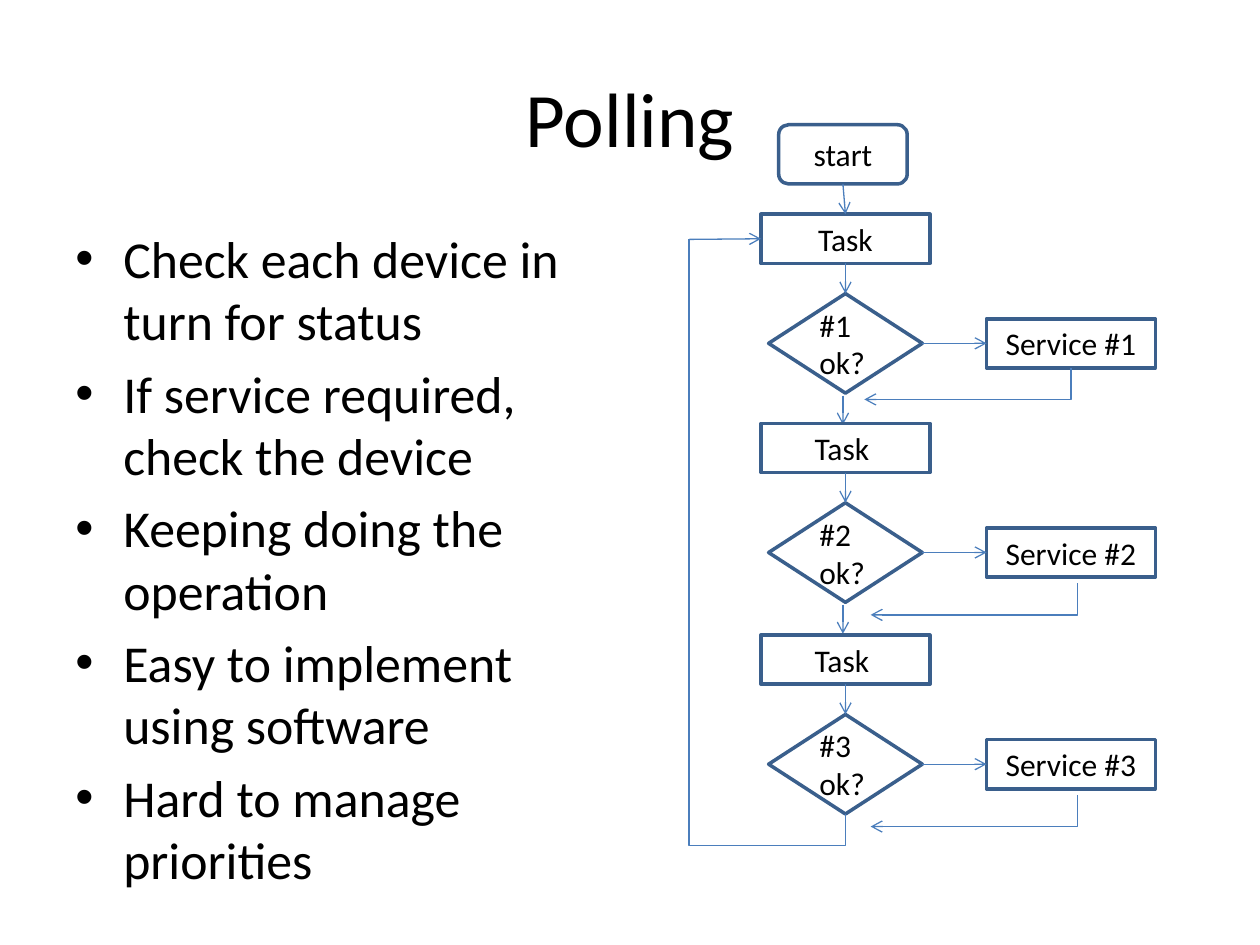
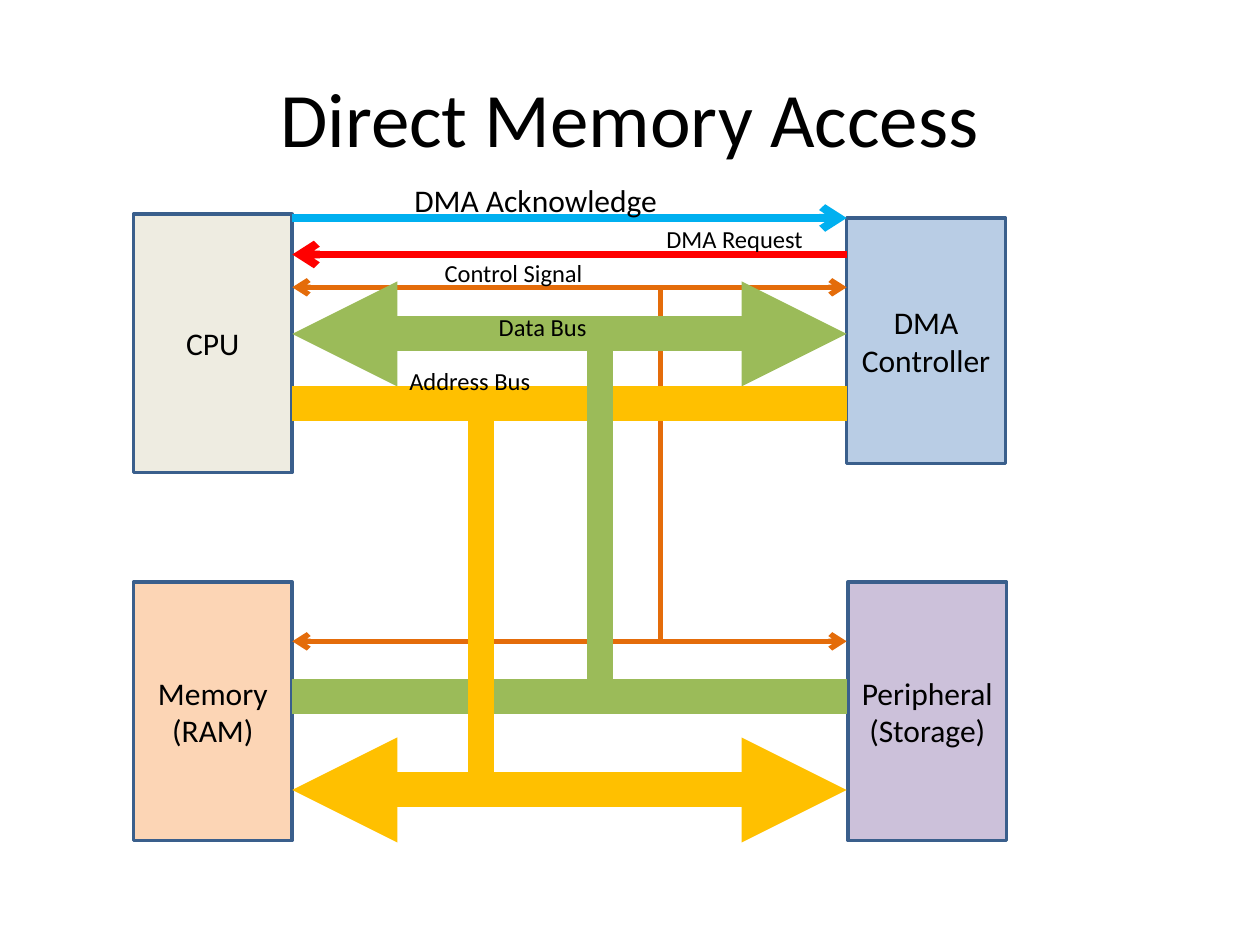
from pptx import Presentation, util as u
from pptx.dml.color import RGBColor
from pptx.enum import shapes, text
from pptx.oxml.ns import qn
from lxml import etree

COLS, ROWS = 10, 7.5
WIDE, HIGH = u.Inches(10), u.Inches(7.5)
FONT = "Calibri"
BLACK = RGBColor(0x00, 0x00, 0x00)
WHITE = RGBColor(0xFF, 0xFF, 0xFF)
EDGE = RGBColor(0x3A, 0x5F, 0x8C)
WIRE = RGBColor(0x4B, 0x7E, 0xBC)
CREAM = RGBColor(0xEE, 0xEC, 0xE1)
PEACH = RGBColor(0xFC, 0xD5, 0xB5)
LILAC = RGBColor(0xCC, 0xC1, 0xDA)
SKY = RGBColor(0xB9, 0xCD, 0xE5)
CYAN = RGBColor(0x00, 0xB0, 0xF0)
RED = RGBColor(0xFF, 0x00, 0x00)
RUST = RGBColor(0xE4, 0x6C, 0x0A)
GREEN = RGBColor(0x9B, 0xBB, 0x59)
GOLD = RGBColor(0xFF, 0xC0, 0x00)

KIND = shapes.MSO_SHAPE
LINK = shapes.MSO_CONNECTOR
LEFT, MID = text.PP_ALIGN.LEFT, text.PP_ALIGN.CENTER
TOP, CORE = text.MSO_ANCHOR.TOP, text.MSO_ANCHOR.MIDDLE


def apply(item, form):
    """Set each format value on an item."""
    for name, value in form.items():
        setattr(item, name, value)


def add(node, tag, **attrs):
    """Append a drawing element with its attributes."""
    return etree.SubElement(node, qn("a:" + tag), attrs)


def write(shape, lines, size, align=LEFT, anchor=TOP, gap=0, dot=False):
    """Write paragraphs in one style, with or without bullets."""
    frame = shape.text_frame
    apply(frame, {"word_wrap": True, "vertical_anchor": anchor})
    for i, line in enumerate(lines):
        para = frame.add_paragraph() if i else frame.paragraphs[0]
        para.text = line
        if dot:
            props = para._p.get_or_add_pPr()
            inset = u.Inches(0.38)
            props.set("marL", str(inset))
            props.set("indent", str(-inset))
            add(props, "buFont", typeface="Arial")
            add(props, "buChar", char="•")
        apply(para, {"alignment": align, "space_before": u.Pt(gap if i else 0)})
        apply(para.font, {"name": FONT, "size": u.Pt(size)})
        para.font.color.rgb = BLACK


class Grid:
    """A box on the slide grid that places shapes from its top left."""

    def __init__(self, slide, left=0, top=0):
        """Keep the slide and the corner of the box."""
        self.tree, self.left, self.top = slide.shapes, left, top

    def spot(self, x, y):
        """Turn a grid point into slide lengths."""
        return (int((self.left + x) * WIDE / COLS),
                int((self.top + y) * HIGH / ROWS))

    def area(self, x, y, w, h):
        """Turn a grid area into slide lengths."""
        return (*self.spot(x, y), int(w * WIDE / COLS), int(h * HIGH / ROWS))

    def note(self, area, lines, size, **form):
        """Place a text box."""
        write(self.tree.add_textbox(*self.area(*area)), lines, size, **form)

    def block(self, kind, area, lines, fill=WHITE, align=MID):
        """Place an edged shape with text in its middle."""
        shape = self.tree.add_shape(kind, *self.area(*area))
        shape.shadow.inherit = False
        shape.fill.solid()
        shape.fill.fore_color.rgb = fill
        shape.line.color.rgb = EDGE
        shape.line.width = u.Pt(2)
        write(shape, lines, 18, align, CORE)
        return shape

    def wire(self, start, end, color=WIRE, width=0.75, head=None, tail=None,
             kind=LINK.STRAIGHT):
        """Draw a connector between two points."""
        wire = self.tree.add_connector(kind, *self.spot(*start), *self.spot(*end))
        wire.line.color.rgb = color
        wire.line.width = u.Pt(width)
        line = wire.line._get_or_add_ln()
        for tag, tip in (("headEnd", head), ("tailEnd", tail)):
            if tip:
                add(line, tag, type=tip)
        add(wire._element.spPr, "effectLst")
        return wire

    def join(self, first, out, last, into):
        """Join two shapes by an arrow."""
        wire = self.wire((0, 0), (1, 1), tail="arrow")
        wire.begin_connect(first, out)
        wire.end_connect(last, into)

    def bend(self, start, end, preset, flip=False, bulge=None, tail=None):
        """Draw an elbow that leaves its start downwards."""
        (ax, ay), (bx, by) = start, end
        midx, midy = (ax + bx) / 2, (ay + by) / 2
        halfw, halfh = abs(by - ay) / 2, abs(bx - ax) / 2
        wire = self.wire((midx - halfw, midy - halfh), (midx + halfw, midy + halfh),
                         tail=tail, kind=LINK.ELBOW)
        props = wire._element.spPr
        frame, geom = props.find(qn("a:xfrm")), props.find(qn("a:prstGeom"))
        frame.set("rot", "5400000")
        if flip:
            frame.set("flipH", "1")
        geom.set("prst", preset)
        if bulge is not None:
            guides = geom.find(qn("a:avLst"))
            if guides is None:
                guides = add(geom, "avLst")
            add(guides, "gd", name="adj1", fmla=f"val {bulge}")


def page(deck, title):
    """Add a blank slide with its title."""
    slide = deck.slides.add_slide(deck.slide_layouts[6])
    Grid(slide).note((0.5, 0.3, 9, 1.25), [title], 44, align=MID, anchor=CORE)
    return slide


def flow(grid):
    """Draw the polling loop of tasks, checks and services."""
    start = grid.block(KIND.FLOWCHART_ALTERNATE_PROCESS, (0.71, 0, 1.02, 0.47), ["start"])
    steps = ((0.71, "Task", 3.03, 1.22), (2.37, "Task ", 3.08, 1.27),
             (4.05, "Task ", 3.08, 1.27))
    for i, (top, name, turn, drop) in enumerate(steps, 1):
        task = grid.block(KIND.FLOWCHART_PROCESS, (0.57, top, 1.34, 0.39), [name])
        check = grid.block(KIND.FLOWCHART_DECISION, (0.63, top + 0.63, 1.22, 0.79),
                           [f"#{i}", "ok?"], align=LEFT)
        serve = grid.block(KIND.FLOWCHART_PROCESS, (2.36, top + 0.83, 1.34, 0.39),
                           [f"Service #{i}"])
        grid.join(task, 2, check, 0)
        grid.join(check, 3, serve, 1)
        grid.bend((turn, top + drop), (turn - 1.64, top + drop + 0.25),
                  "bentConnector2", tail="arrow")
        if i == 1:
            grid.join(start, 2, task, 0)
            loop = grid.wire((0, 0.91), (0.57, 0.91), tail="arrow")
            loop.end_connect(task, 1)
        if i < len(steps):
            grid.wire((1.22, top + 1.44), (1.22, top + 1.67), tail="arrow")
    grid.bend((1.24, 5.47), (0, 0.91), "bentConnector3", flip=True, bulge=-5500)


def buses(grid):
    """Draw four units, the buses between them and their labels."""
    near, far = 1.26, 5.66
    units = ((0, 0, 2.05, "CPU", CREAM), (0, 2.92, 2.05, "Memory (RAM)", PEACH),
             (5.67, 2.92, 2.05, "Peripheral (Storage)", LILAC),
             (far, 0.03, 1.95, "DMA Controller", SKY))
    for x, y, high, name, fill in units:
        grid.block(KIND.RECTANGLE, (x, y, near, high), [name], fill)
    both = {"head": "arrow", "tail": "arrow"}
    fat = {"head": "triangle", "tail": "triangle"}
    rails = ((0.03, CYAN, 4.5, {"tail": "arrow"}), (0.32, RED, 4.5, {"head": "arrow"}),
             (0.58, RUST, 3, both), (3.39, RUST, 3, both))
    trunks = ((0.95, GREEN, 20, fat), (3.83, GREEN, 20, {}),
              (1.5, GOLD, 20, {}), (4.57, GOLD, 20, fat))
    drops = ((4.18, 0.58, 3.39, RUST, 3), (3.7, 0.89, 3.7, GREEN, 15),
             (2.76, 1.42, 4.49, GOLD, 15))

    def across(rows):
        """Draw lines from the left units to the right ones."""
        for y, color, width, tips in rows:
            grid.wire((near, y), (far, y), color, width, **tips)

    def down(rows):
        """Draw upright lines."""
        for x, top, end, color, width in rows:
            grid.wire((x, top), (x, end), color, width)

    across(rails)
    down(drops[:1])
    across(trunks)
    down(drops[1:])
    labels = ((4.13, 0.03, 1.34, "DMA Request", 14),
              (2.13, -0.31, 2.28, "DMA Acknowledge", 18),
              (2.37, 0.3, 1.34, "Control Signal", 14),
              (2.8, 0.73, 1.34, "Data Bus", 14), (2.09, 1.16, 1.34, "Address Bus", 14))
    for x, y, wide, name, size in labels:
        grid.note((x, y, wide, 0.34), [name], size)


def main():
    """Build and save both slides."""
    deck = Presentation()
    apply(deck, {"slide_width": WIDE, "slide_height": HIGH})
    poll = page(deck, "Polling")
    points = ["Check each device in turn for status", "If service required, check the device",
              "Keeping doing the operation", "Easy to implement using software",
              "Hard to manage priorities"]
    Grid(poll).note((0.5, 1.75, 4.19, 4.95), points, 29.6, gap=5.92, dot=True)
    flow(Grid(poll, 5.47, 0.99))
    buses(Grid(page(deck, "Direct Memory Access"), 1.06, 1.7))
    deck.save("out.pptx")


if __name__ == "__main__":
    main()
